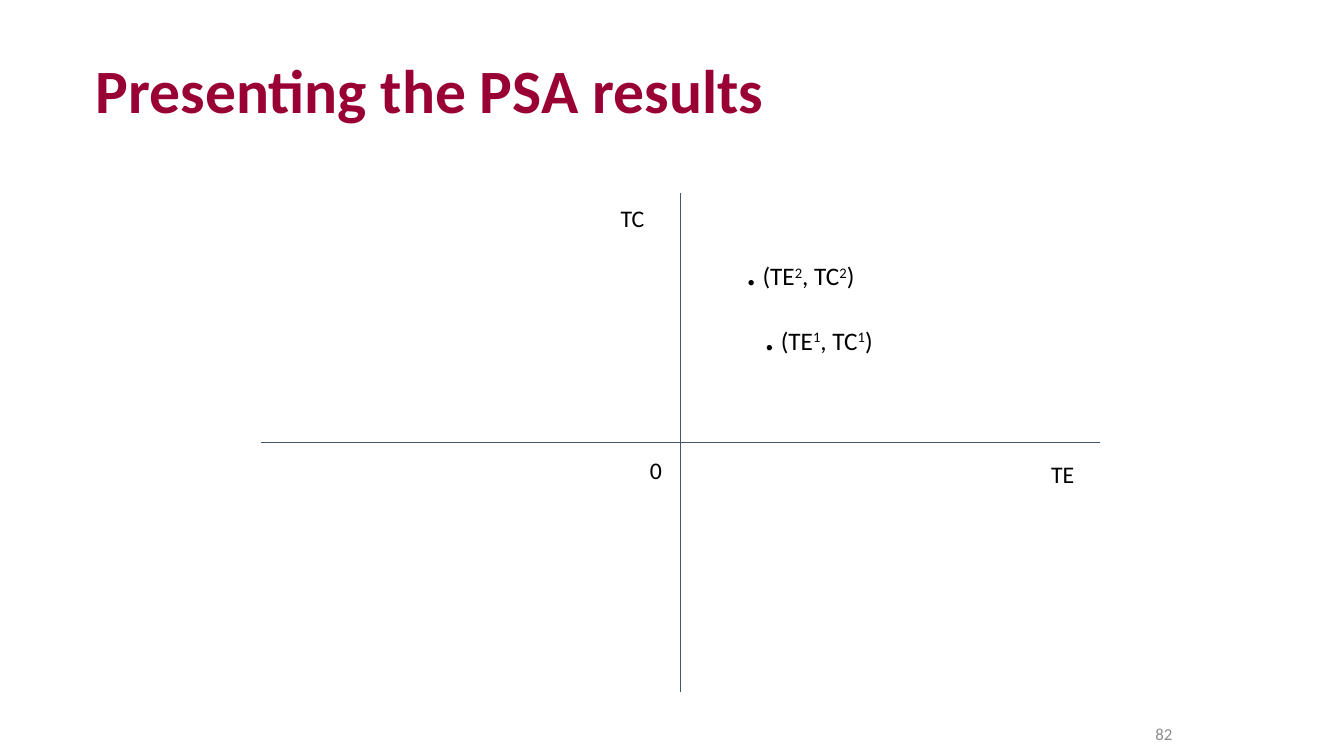
from dataclasses import dataclass

from lxml.etree import SubElement
from pptx import Presentation
from pptx.dml.color import RGBColor
from pptx.enum.shapes import MSO_CONNECTOR
from pptx.enum.text import MSO_ANCHOR, PP_ALIGN
from pptx.oxml.ns import qn
from pptx.util import Pt


@dataclass(frozen=True)
class Theme:
    font: str = "Calibri"
    title_color: str = "990033"
    text_color: str = "000000"
    number_color: str = "8C8C8C"
    axis_color: str = "44546A"
    axis_width: float = 0.75
    title_size: int = 44
    label_size: int = 17
    dot_size: int = 32
    point_size: int = 18
    number_size: int = 12
    inset: float = 7.2


theme = Theme()


def set_attributes(target, values):
    for name, value in values.items():
        setattr(target, name, value)


def add_text(slide, box, runs, color=theme.text_color, bold=False, inset=theme.inset,
             anchor=MSO_ANCHOR.TOP, alignment=PP_ALIGN.LEFT, line_spacing=1.0):
    shape = slide.shapes.add_textbox(*map(Pt, box))
    margins = {f"margin_{side}": Pt(inset) for side in ("left", "top", "right", "bottom")}
    set_attributes(shape.text_frame, {"word_wrap": True, "vertical_anchor": anchor, **margins})
    paragraph = shape.text_frame.paragraphs[0]
    set_attributes(paragraph, {"alignment": alignment, "line_spacing": line_spacing})
    for text, size, raised in runs:
        run = paragraph.add_run()
        run.text = text
        set_attributes(run.font, {"name": theme.font, "size": Pt(size), "bold": bold})
        run.font.color.rgb = RGBColor.from_string(color)
        if raised:
            run._r.get_or_add_rPr().set("baseline", "30000")


def add_axis(slide, start_x, start_y, end_x, end_y):
    ends = map(Pt, (start_x, start_y, end_x, end_y))
    connector = slide.shapes.add_connector(MSO_CONNECTOR.STRAIGHT, *ends)
    connector.line.color.rgb = RGBColor.from_string(theme.axis_color)
    connector.line.width = Pt(theme.axis_width)
    SubElement(connector._element.spPr, qn("a:effectLst"))


def add_title(slide, box):
    add_text(slide, box, [("Presenting the PSA results", theme.title_size, False)],
             color=theme.title_color, bold=True, anchor=MSO_ANCHOR.MIDDLE, line_spacing=0.9)


def add_cost_effect_plane(slide, box):
    left, top, width, height = box
    center_x, center_y = left + width / 2, top + height / 2
    add_axis(slide, center_x, top, center_x, top + height)
    add_axis(slide, left, center_y, left + width, center_y)

    labels = [("TE", 557.3, 183, 43.2), ("TC", 249.8, 0, 43.2), ("0", 270.7, 180, 28.1)]
    for text, offset_x, offset_y, label_width in labels:
        add_text(slide, (left + offset_x, top + offset_y, label_width, 31),
                 [(text, theme.label_size, False)])

    for index, offset_x, offset_y in [("1", 352.1, 72.7), ("2", 339.1, 26.7)]:
        size = theme.point_size
        add_text(slide, (left + offset_x, top + offset_y, 93.6, 53.3), [
            (".", theme.dot_size, False), (" (TE", size, False), (index, size, True),
            (", TC", size, False), (index, size, True), (")", size, False)])


def add_slide_number(slide, box):
    add_text(slide, box, [("82", theme.number_size, False)], color=theme.number_color,
             inset=0, anchor=MSO_ANCHOR.MIDDLE, alignment=PP_ALIGN.RIGHT)


def main():
    presentation = Presentation()
    set_attributes(presentation, {"slide_width": Pt(960), "slide_height": Pt(540)})
    slide = presentation.slides.add_slide(presentation.slide_layouts[6])
    add_slide_number(slide, (794.2, 508.3, 43.2, 31))
    add_cost_effect_plane(slide, (186.4, 138.2, 599.6, 356.2))
    add_title(slide, (61.2, 21.6, 725, 90))
    presentation.save("out.pptx")


if __name__ == "__main__":
    main()
